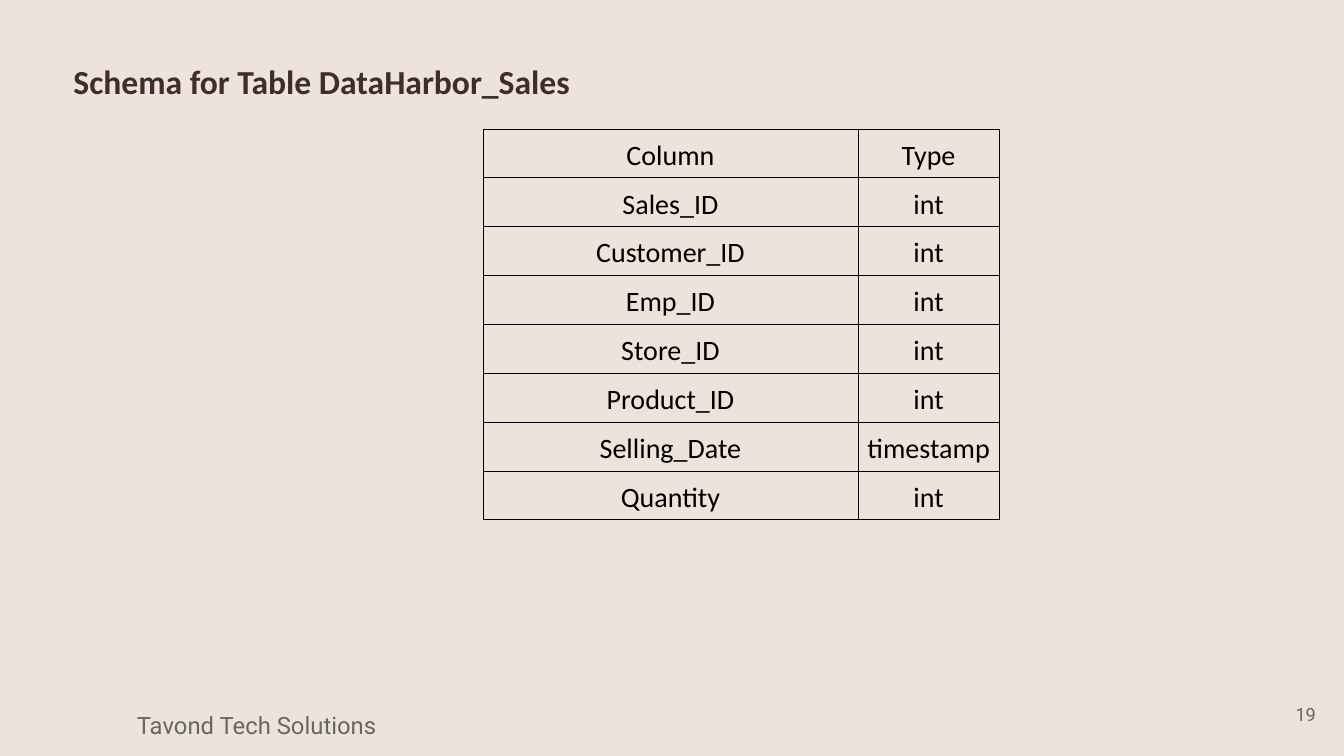
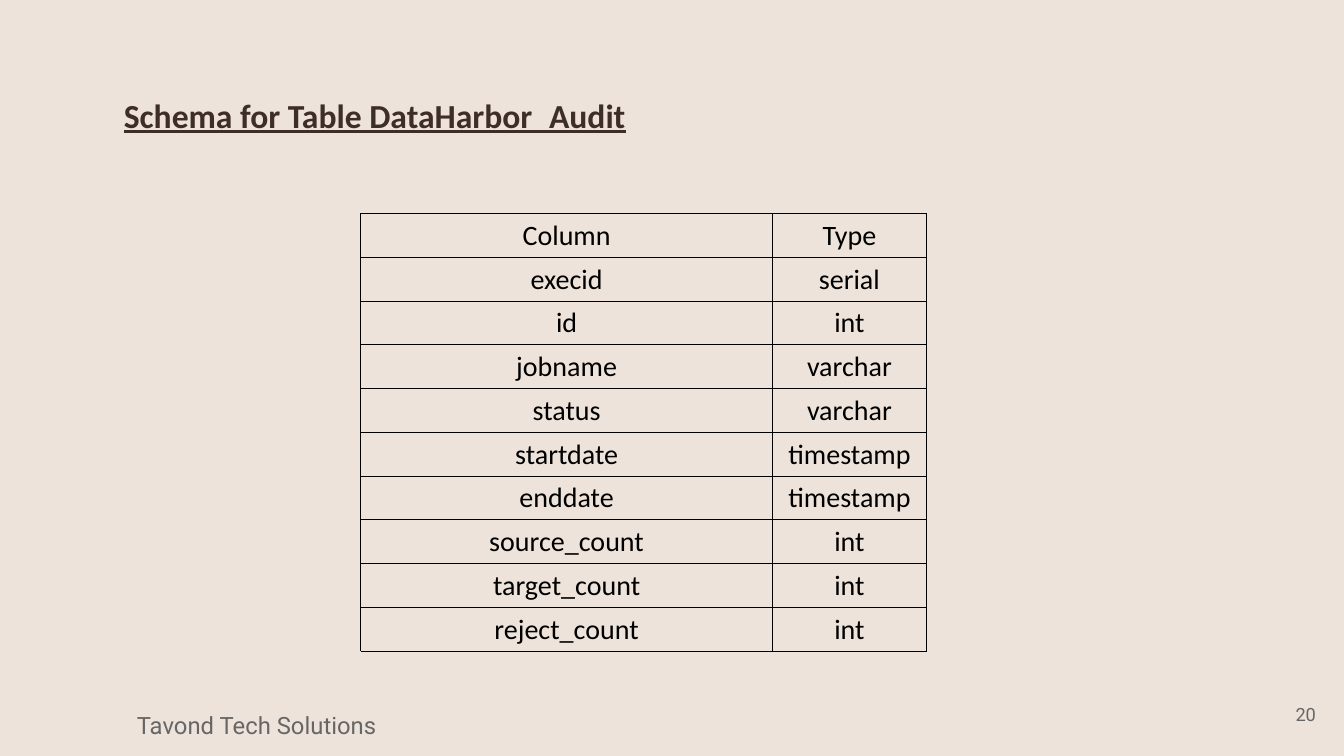
"""Build two slides that show table schemas as bordered grids."""
from dataclasses import dataclass

from lxml import etree
from pptx import Presentation
from pptx.dml.color import RGBColor
from pptx.enum.text import MSO_ANCHOR, PP_ALIGN
from pptx.oxml.ns import qn
from pptx.util import Inches, Pt

LEFT, CENTER, RIGHT = PP_ALIGN.LEFT, PP_ALIGN.CENTER, PP_ALIGN.RIGHT
TOP, MIDDLE, BOTTOM = MSO_ANCHOR.TOP, MSO_ANCHOR.MIDDLE, MSO_ANCHOR.BOTTOM


@dataclass(frozen=True)
class Theme:
    paper: str = "EDE3DA"
    heading: str = "3F2E27"
    ink: str = "000000"
    muted: str = "666666"
    body_font: str = "Calibri"
    footer_font: str = "Roboto"
    title_size: int = 24
    cell_size: int = 20
    footer_size: int = 17
    number_size: int = 13
    border: float = 0.75


THEME = Theme()
FOOTER = "Tavond Tech Solutions"
SCHEMAS = [
    {
        "number": 19, "title": "Schema for Table DataHarbor_Sales",
        "title_top": 0.43, "indent": 0, "underline": False,
        "left": 4.79, "top": 1.28, "widths": (3.72, 1.4), "height": 3.88,
        "rows": [
            ("Column", "Type"), ("Sales_ID", "int"), ("Customer_ID", "int"),
            ("Emp_ID", "int"), ("Store_ID", "int"), ("Product_ID", "int"),
            ("Selling_Date", "timestamp"), ("Quantity", "int"),
        ],
    },
    {
        "number": 20, "title": "Schema for Table DataHarbor_Audit",
        "title_top": 0.77, "indent": 0.5, "underline": True,
        "left": 3.58, "top": 2.12, "widths": (4.08, 1.53), "height": 4.32,
        "rows": [
            ("Column", "Type"), ("execid", "serial"), ("id", "int"),
            ("jobname", "varchar"), ("status", "varchar"),
            ("startdate", "timestamp"), ("enddate", "timestamp"),
            ("source_count", "int"), ("target_count", "int"),
            ("reject_count", "int"),
        ],
    },
]


def write(frame, text, *, size, color, font=THEME.body_font, align=LEFT,
          anchor=MIDDLE, bold=False, underline=False, indent=0, spacing=1.0):
    """Put one formatted paragraph into a text frame."""
    frame.word_wrap = True
    frame.vertical_anchor = anchor
    para = frame.paragraphs[0]
    para.alignment = align
    para.line_spacing = spacing
    if indent:
        para._p.get_or_add_pPr().set("indent", str(Inches(indent)))
    span = para.add_run()
    span.text = text
    span.font.name = font
    span.font.size = Pt(size)
    span.font.bold = bold
    span.font.underline = underline
    span.font.color.rgb = RGBColor.from_string(color)


def outline(cell):
    """Draw a thin line on all four sides of a table cell."""
    properties = cell._tc.get_or_add_tcPr()
    for side in ("a:lnL", "a:lnR", "a:lnT", "a:lnB"):
        line = etree.SubElement(properties, qn(side), w=str(Pt(THEME.border)))
        fill = etree.SubElement(line, qn("a:solidFill"))
        etree.SubElement(fill, qn("a:srgbClr"), val=THEME.ink)


deck = Presentation()
deck.slide_width, deck.slide_height = Inches(13.33), Inches(7.5)
backdrop = deck.slide_master.background.fill
backdrop.solid()
backdrop.fore_color.rgb = RGBColor.from_string(THEME.paper)

for schema in SCHEMAS:
    page = deck.slides.add_slide(deck.slide_layouts[6])

    number_box = page.shapes.add_textbox(
        Inches(12.35), Inches(6.8), Inches(0.8), Inches(0.57))
    write(number_box.text_frame, str(schema["number"]), size=THEME.number_size,
          color=THEME.muted, font=THEME.footer_font, align=RIGHT)

    title_box = page.shapes.add_textbox(
        Inches(0.63), Inches(schema["title_top"]), Inches(11.5), Inches(0.74))
    write(title_box.text_frame, schema["title"], size=THEME.title_size,
          color=THEME.heading, bold=True, underline=schema["underline"],
          indent=schema["indent"])

    rows, widths = schema["rows"], schema["widths"]
    grid = page.shapes.add_table(
        len(rows), len(widths), Inches(schema["left"]), Inches(schema["top"]),
        Inches(sum(widths)), Inches(schema["height"])).table
    grid.first_row = grid.horz_banding = False
    for column, width in zip(grid.columns, widths):
        column.width = Inches(width)
    for row, values in zip(grid.rows, rows):
        for cell, value in zip(row.cells, values):
            outline(cell)
            cell.fill.background()
            cell.margin_left = cell.margin_right = Inches(0.08)
            cell.vertical_anchor = BOTTOM
            write(cell.text_frame, value, size=THEME.cell_size,
                  color=THEME.ink, align=CENTER, anchor=None)

    footer_box = page.shapes.add_textbox(
        Inches(0.14), Inches(7.03), Inches(4.81), Inches(0.41))
    write(footer_box.text_frame, FOOTER, size=THEME.footer_size,
          color=THEME.muted, font=THEME.footer_font, align=CENTER,
          anchor=TOP, spacing=0.9)

deck.save("out.pptx")
